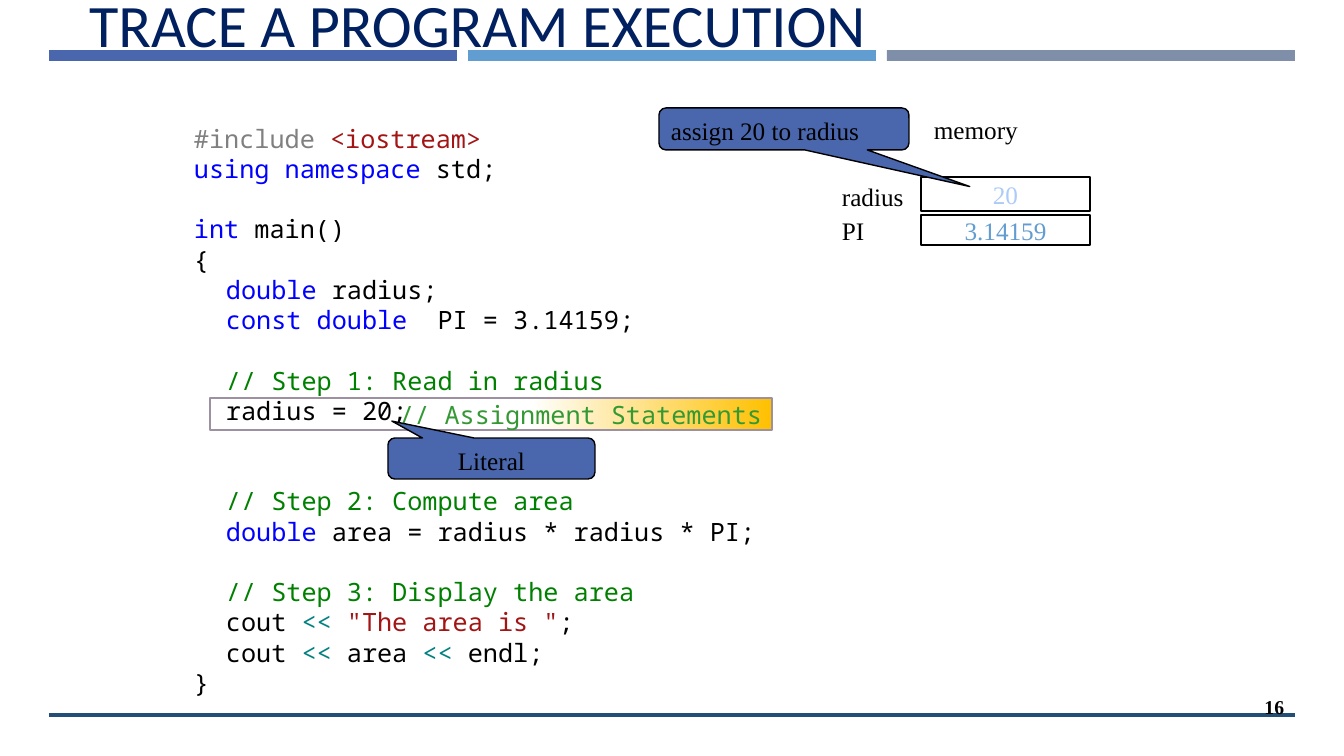
from pptx import Presentation
from pptx import util as u
from pptx.dml.color import RGBColor
from pptx.enum import shapes, text

PX = 914400 / 100.8
SERIF, MONO = "Times New Roman", "Noto Sans Mono"
BLACK, BLUE, KEYWORD, COMMENT = "000000", "4A66AC", "0000FF", "008000"
STRING, OPERATOR, PREPROCESSOR, GOLD = "A31515", "008080", "808080", "FFC000"
LEFT, CENTER, RIGHT = text.PP_ALIGN.LEFT, text.PP_ALIGN.CENTER, text.PP_ALIGN.RIGHT
TOP, MIDDLE = text.MSO_ANCHOR.TOP, text.MSO_ANCHOR.MIDDLE
LINE_PITCH = 21.6
CODE_INDENT = 32

TITLE = "TRACE A PROGRAM EXECUTION"
BAR_COLORS = [BLUE, "629DD1", "7F8FA9"]
LABELS = [  # text, left, top, width
    ("memory", 924, 109, 159),
    ("radius", 832, 176, 93),
    ("PI", 832, 210, 93),
]
MEMORY_CELLS = [  # text, colour, top, height
    ("20", "ACCBF9", 177, 34),
    ("3.14159", "629DD1", 215, 30),
]
CALLOUTS = [  # text, box, pointer, alignment
    ("assign 20 to radius", (659, 108, 250, 42), (0.743, 1.372), LEFT),
    ("Literal", (388, 438, 207, 41), (-0.481, -0.913), CENTER),
]
CODE = [  # indent level, empty lines before, coloured pieces
    (0, 0, [("#include ", PREPROCESSOR), ("<iostream>", STRING)]),
    (0, 0, [("using namespace", KEYWORD), (" std;", BLACK)]),
    (0, 1, [("int", KEYWORD), (" main()", BLACK)]),
    (0, 0, [("{", BLACK)]),
    (1, 0, [("double", KEYWORD), (" radius;", BLACK)]),
    (1, 0, [("const double  ", KEYWORD), ("PI = 3.14159;", BLACK)]),
    (1, 1, [("// Step 1: Read in radius", COMMENT)]),
    (1, 0, [("radius = 20;", BLACK)]),
    (1, 2, [("// Step 2: Compute area", COMMENT)]),
    (1, 0, [("double", KEYWORD), (" area = radius * radius * PI;", BLACK)]),
    (1, 1, [("// Step 3: Display the area", COMMENT)]),
    (1, 0, [("cout ", BLACK), ("<< ", OPERATOR), ('"The area is "', STRING), (";", BLACK)]),
    (1, 0, [("cout ", BLACK), ("<<", OPERATOR), (" area ", BLACK), ("<< ", OPERATOR),
            ("endl;", BLACK)]),
    (0, 0, [("}", BLACK)]),
]


def px(length):
    return u.Emu(round(length * PX))


def rgb(color):
    return RGBColor.from_string(color)


def style(font, name, color, size=18, bold=False):
    font.name, font.size, font.bold = name, u.Pt(size), bold
    font.color.rgb = rgb(color)


def write(shape, words, font_name, color, align=LEFT, anchor=TOP, **font_options):
    frame = shape.text_frame
    frame.text = words
    frame.word_wrap = True
    frame.vertical_anchor = anchor
    paragraph = frame.paragraphs[0]
    paragraph.alignment = align
    style(paragraph.runs[0].font, font_name, color, **font_options)


def add_box(slide, box, fill=None, line=None, kind=shapes.MSO_SHAPE.RECTANGLE):
    shape = slide.shapes.add_shape(kind, *map(px, box))
    shape.shadow.inherit = False
    if fill:
        shape.fill.solid()
        shape.fill.fore_color.rgb = rgb(fill)
    else:
        shape.fill.background()
    if line:
        shape.line.color.rgb = rgb(line)
        shape.line.width = u.Pt(1)
    else:
        shape.line.fill.background()
    return shape


def add_text(slide, box):
    return slide.shapes.add_textbox(*map(px, box))


def add_frame_lines(slide):
    """Draw the three bars under the title and the rule at the foot."""
    for column, color in enumerate(BAR_COLORS):
        add_box(slide, (49 + column * 419, 50, 408, 11), color)
    rule = slide.shapes.add_connector(
        shapes.MSO_CONNECTOR.STRAIGHT, px(49), px(715), px(1295), px(715))
    rule.line.color.rgb = rgb("234F77")
    rule.line.width = u.Pt(2.25)
    properties = rule._element.spPr
    properties.append(properties.makeelement(
        "{http://schemas.openxmlformats.org/drawingml/2006/main}effectLst", {}))


def add_memory(slide):
    for words, color, top, height in MEMORY_CELLS:
        cell = add_box(slide, (921, top, 169, height), line=BLACK)
        write(cell, words, SERIF, color, CENTER, MIDDLE)
        frame = cell.text_frame
        frame.margin_left = frame.margin_right = frame.margin_top = frame.margin_bottom = px(1)
    for words, left, top, width in LABELS:
        write(add_text(slide, (left, top, width, 40)), words, SERIF, BLACK)


def add_callout(slide, words, box, pointer, align):
    callout = add_box(slide, box, BLUE, BLACK, shapes.MSO_SHAPE.ROUNDED_RECTANGULAR_CALLOUT)
    callout.adjustments[0], callout.adjustments[1] = pointer
    write(callout, words, SERIF, BLACK, align)


def add_highlight(slide):
    highlight = add_box(slide, (210, 398, 562, 32), line="9D90A0")
    highlight.fill.gradient()
    highlight.fill.gradient_angle = 0
    stops = zip(highlight.fill.gradient_stops, [(0.57, "FFFFFF"), (1, GOLD)])
    for stop, (position, color) in stops:
        stop.position = position
        stop.color.rgb = rgb(color)
    write(highlight, "// Assignment Statements", MONO, "349934", RIGHT, MIDDLE)


def add_code(slide):
    frame = add_text(slide, (184, 118, 613, 604)).text_frame
    frame.word_wrap = True
    for number, (level, empty_lines, pieces) in enumerate(CODE):
        paragraph = frame.add_paragraph() if number else frame.paragraphs[0]
        paragraph.line_spacing = u.Pt(LINE_PITCH)
        if empty_lines:
            paragraph.space_before = u.Pt(LINE_PITCH * empty_lines)
        paragraph._p.get_or_add_pPr().set("marL", str(px(level * CODE_INDENT)))
        for words, color in pieces:
            run = paragraph.add_run()
            run.text = words
            style(run.font, MONO, color)


def main():
    presentation = Presentation()
    presentation.slide_width, presentation.slide_height = px(1344), px(756)
    slide = presentation.slides.add_slide(presentation.slide_layouts[5])
    add_frame_lines(slide)

    title = slide.shapes.title
    title.left, title.top, title.width, title.height = map(px, (79, -65, 1216, 131))
    write(title, TITLE, "Calibri", "002060", anchor=text.MSO_ANCHOR.BOTTOM, size=43)
    title.text_frame.paragraphs[0].line_spacing = 0.9

    add_memory(slide)
    page_number = add_text(slide, (1248, 687, 46, 40))
    write(page_number, "16", SERIF, BLACK, RIGHT, MIDDLE, size=14, bold=True)
    add_highlight(slide)
    add_code(slide)
    for callout in CALLOUTS:
        add_callout(slide, *callout)
    presentation.save("out.pptx")


if __name__ == "__main__":
    main()
